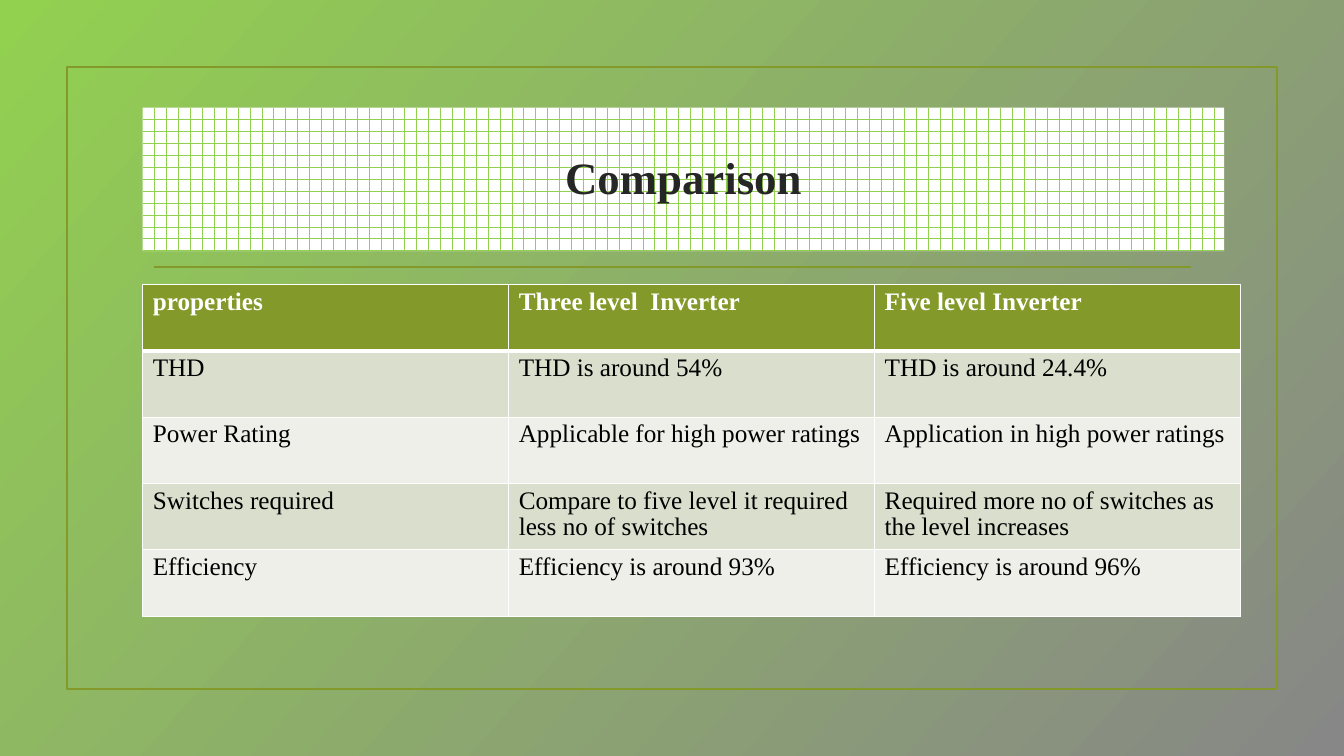
from lxml.etree import SubElement
from pptx import Presentation
from pptx.dml.color import RGBColor
from pptx.enum.dml import MSO_PATTERN
from pptx.enum.shapes import MSO_CONNECTOR, MSO_SHAPE
from pptx.enum.text import MSO_ANCHOR, PP_ALIGN
from pptx.oxml.ns import qn
from pptx.util import Pt

OLIVE, LIME, GREY, WHITE = "83992A", "92D050", "878787", "FFFFFF"
BAND_DARK, BAND_LIGHT = "D9DECD", "EDEFE8"
FONT = "Times New Roman"

COMPARISON = [
    ("properties", "Three level  Inverter", "Five level Inverter"),
    ("THD", "THD is around 54%", "THD is around 24.4%"),
    ("Power Rating", "Applicable for high power ratings",
     "Application in high power ratings"),
    ("Switches required", "Compare to five level it required less no of switches",
     "Required more no of switches as the level increases"),
    ("Efficiency", "Efficiency is around 93%", "Efficiency is around 96%"),
]


def rgb(value):
    return RGBColor.from_string(value)


def write(text_frame, text, size=18, color="000000", bold=False,
          align=PP_ALIGN.LEFT, spacing=0.93):
    paragraph = text_frame.paragraphs[0]
    paragraph.alignment = align
    paragraph.line_spacing = spacing
    run = paragraph.add_run()
    run.text = text
    run.font.name = FONT
    run.font.size = Pt(size)
    run.font.bold = bold
    run.font.color.rgb = rgb(color)


def set_border(cell, side, width, color=WHITE):
    """Draw one side of a cell: L, R, T or B. Call before filling the cell."""
    properties = cell._tc.get_or_add_tcPr()
    line = SubElement(properties, qn(f"a:ln{side}"), w=str(Pt(width)))
    fill = SubElement(line, qn("a:solidFill"))
    SubElement(fill, qn("a:srgbClr"), val=color)


class SlideBuilder:
    def __init__(self, slide, line_color=OLIVE, line_width=1.25):
        self.slide = slide
        self.line_color = line_color
        self.line_width = line_width

    def style_line(self, line):
        line.color.rgb = rgb(self.line_color)
        line.width = Pt(self.line_width)

    def background(self, start, end, clockwise_angle):
        fill = self.slide.background.fill
        fill.gradient()
        fill.gradient_angle = 360 - clockwise_angle
        for stop, color, position in zip(fill.gradient_stops, (start, end), (0, 1)):
            stop.color.rgb = rgb(color)
            stop.position = position

    def rectangle(self, left, top, width, height):
        shape = self.slide.shapes.add_shape(
            MSO_SHAPE.RECTANGLE, Pt(left), Pt(top), Pt(width), Pt(height))
        shape.shadow.inherit = False
        return shape

    def frame(self, *box):
        shape = self.rectangle(*box)
        shape.fill.background()
        self.style_line(shape.line)

    def title(self, text, *box):
        shape = self.rectangle(*box)
        shape.line.fill.background()
        shape.fill.patterned()
        shape.fill.pattern = MSO_PATTERN.HORIZONTAL_BRICK
        shape.fill.fore_color.rgb = rgb(LIME)
        shape.fill.back_color.rgb = rgb(WHITE)
        shape.text_frame.word_wrap = True
        shape.text_frame.vertical_anchor = MSO_ANCHOR.MIDDLE
        write(shape.text_frame, text, size=32, color="262626", bold=True,
              align=PP_ALIGN.CENTER, spacing=0.9)

    def rule(self, left, right, y):
        connector = self.slide.shapes.add_connector(
            MSO_CONNECTOR.STRAIGHT, Pt(left), Pt(y), Pt(right), Pt(y))
        self.style_line(connector.line)
        SubElement(connector._element.spPr, qn("a:effectLst"))

    def table(self, rows, left, top, column_width, row_height):
        columns = len(rows[0])
        table = self.slide.shapes.add_table(
            len(rows), columns, Pt(left), Pt(top),
            Pt(column_width * columns), Pt(row_height * len(rows))).table
        for column in table.columns:
            column.width = Pt(column_width)
        for index, texts in enumerate(rows):
            table.rows[index].height = Pt(row_height)
            header = index == 0
            band = BAND_DARK if index % 2 else BAND_LIGHT
            for cell, text in zip(table.rows[index].cells, texts):
                for side in "LRTB":
                    thick = (header and side == "B") or (index == 1 and side == "T")
                    set_border(cell, side, 3 if thick else 1)
                cell.fill.solid()
                cell.fill.fore_color.rgb = rgb(OLIVE if header else band)
                write(cell.text_frame, text, bold=header,
                      color=WHITE if header else "000000")


def main():
    presentation = Presentation()
    presentation.slide_width = Pt(960)
    presentation.slide_height = Pt(540)
    builder = SlideBuilder(
        presentation.slides.add_slide(presentation.slide_layouts[6]))

    builder.background(LIME, GREY, 42)
    builder.frame(47.7, 48, 864.3, 444)
    builder.rule(110, 850.5, 190.7)
    builder.title("Comparison", 102, 77, 772.5, 102.5)
    builder.table(COMPARISON, left=102, top=203.2, column_width=261.4, row_height=47.4)
    presentation.save("out.pptx")


if __name__ == "__main__":
    main()
